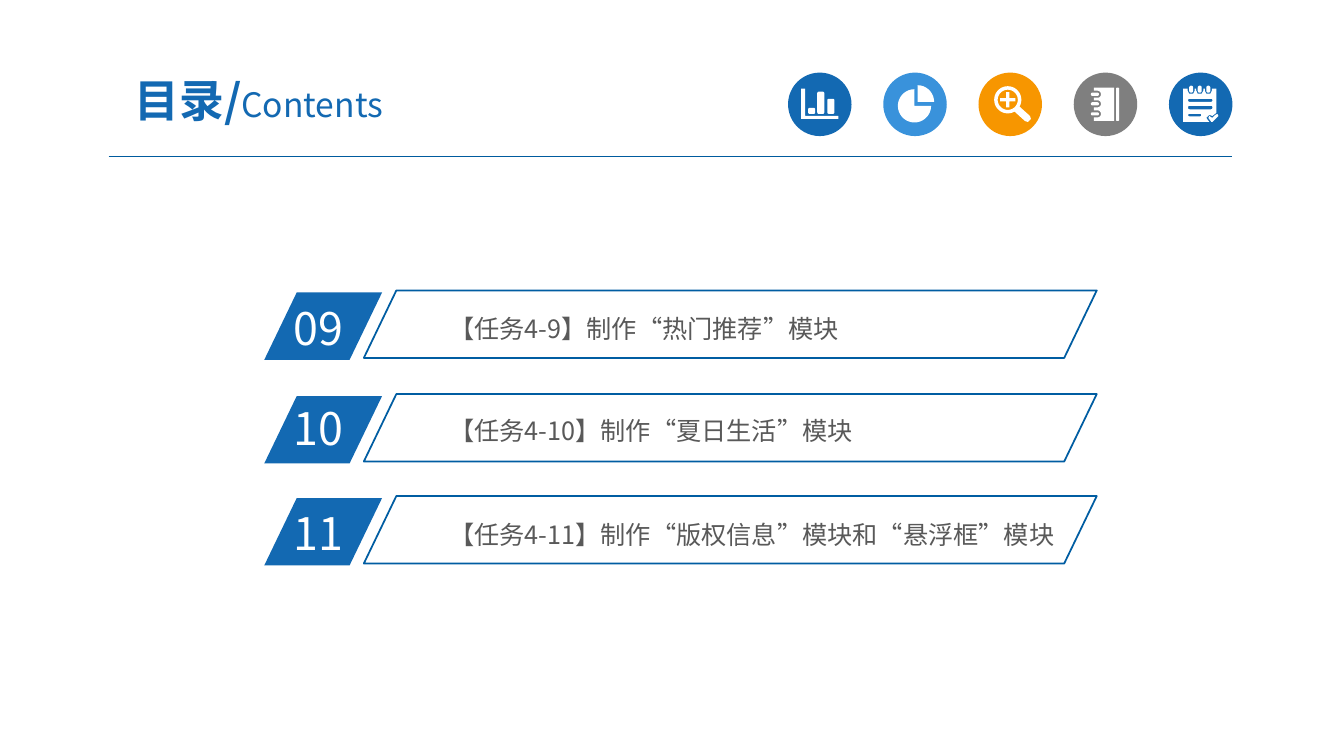
import math
from dataclasses import dataclass

import pptx
import pptx.dml.color
import pptx.enum.shapes
import pptx.enum.text
import pptx.oxml
import pptx.oxml.ns
import pptx.util

Cm = pptx.util.Cm
Shapes = pptx.enum.shapes.MSO_SHAPE
Anchor = pptx.enum.text.MSO_ANCHOR
Point = tuple[float, float]
Contour = list[Point]

FONT = "Noto Sans CJK SC"
BLUE = "1369B2"
WHITE = "FFFFFF"
ICON_UNIT = Cm(0.0254)
SLANT = 0.482
ROW_HEIGHT = 1.7


@dataclass
class Badge:
    colour: str
    contours: list[Contour]


@dataclass
class Task:
    number: str
    title: str
    top: float
    number_top: float
    title_top: float
    title_width: float


def rgb(colour: str) -> pptx.dml.color.RGBColor:
    return pptx.dml.color.RGBColor.from_string(colour)


def arc(x: float, y: float, radius: float, start: int, end: int) -> Contour:
    return [(x + radius * math.cos(math.radians(angle)),
             y + radius * math.sin(math.radians(angle)))
            for angle in range(start, end + 1, 10)]


def round_box(left: float, top: float, width: float, height: float,
              radius: float) -> Contour:
    right, bottom = left + width - radius, top + height - radius
    left, top = left + radius, top + radius
    return (arc(right, bottom, radius, 0, 90) + arc(left, bottom, radius, 90, 180)
            + arc(left, top, radius, 180, 270) + arc(right, top, radius, 270, 360))


def bar_chart() -> list[Contour]:
    axes = [(13, 16), (17, 16), (17, 43), (50, 43), (50, 46), (13, 46)]
    bars = [(20, 35), (29, 19), (39, 26)]
    return [axes] + [round_box(x, y, 7, 41 - y, 1.5) for x, y in bars]


def pie_chart() -> list[Contour]:
    return [[(34, 29)] + arc(34, 29, 16.5, 270, 360),
            [(31, 33)] + arc(31, 33, 16.5, 0, 270)]


def magnifier() -> list[Contour]:
    x, y, arm, half = 29, 27, 7.5, 1.6
    handle = [(51, 43), (52, 46), (49, 49), (46, 48)]
    plus = [(-half, -arm), (half, -arm), (half, -half), (arm, -half),
            (arm, half), (half, half), (half, arm), (-half, arm),
            (-half, half), (-arm, half), (-arm, -half), (-half, -half)]
    return [arc(x, y, 13.5, 60, 390) + handle, arc(x, y, 10, 0, 350),
            [(x + dx, y + dy) for dx, dy in plus]]


def notebook() -> list[Contour]:
    rings = [21.5, 31, 41]
    body = [(40, 48), (40, 15), (20, 15)]
    for y in rings:
        body += [(20, y - 3.5), (23.5, y - 3.5)] + arc(23.5, y, 3.5, -80, 90) + [(20, y + 3.5)]
    return ([body + [(20, 48)], round_box(42, 15, 3, 33, 1)]
            + [round_box(17, y - 1.6, 8, 3.2, 1.6) for y in rings])


def notepad() -> list[Contour]:
    rings = [22, 30.5, 39]
    body = [(14, 49), (14, 16)]
    for x in rings:
        body += [(x - 3.5, 16), (x - 3.5, 18), (x - 2, 21), (x + 2, 21), (x + 3.5, 18), (x + 3.5, 16)]
    body += [(47, 16), (47, 40), (43, 43), (40, 42), (37, 45), (40, 49)]
    tick = [(39, 45), (40, 43), (43, 45), (46, 42), (48, 41), (49, 43), (43, 49), (42, 49)]
    lines = [(26, 24, 3), (33, 24, 3.4), (41, 13, 2.4)]
    return ([body, tick] + [round_box(x - 2, 13, 4, 7, 2) for x in rings]
            + [round_box(19, y, width, height, 1.2) for y, width, height in lines])


def add_preset(page, kind, left: float, top: float, width: float,
               height: float, fill: str = "", line: str = ""):
    shape = page.shapes.add_shape(kind, Cm(left), Cm(top), Cm(width), Cm(height))
    shape.shadow.inherit = False
    if fill:
        shape.fill.solid()
        shape.fill.fore_color.rgb = rgb(fill)
    else:
        shape.fill.background()
    if line:
        shape.line.color.rgb = rgb(line)
        shape.line.width = pptx.util.Pt(1.25)
    else:
        shape.line.fill.background()
    return shape


def style_paragraph(para, size: float, colour: str) -> None:
    para.font.name = FONT
    para.font.size = pptx.util.Pt(size)
    para.font.color.rgb = rgb(colour)
    east_asian = pptx.oxml.parse_xml(
        f'<a:ea {pptx.oxml.ns.nsdecls("a")} typeface="{FONT}"/>')
    para.font._element.append(east_asian)


def add_text(page, text: str, left: float, top: float, width: float,
             height: float, size: float, colour: str,
             inset: tuple[float, float] = (0.25, 0.13)) -> None:
    box = page.shapes.add_textbox(Cm(left), Cm(top), Cm(width), Cm(height))
    frame = box.text_frame
    frame.word_wrap = True
    frame.margin_left = frame.margin_right = Cm(inset[0])
    frame.margin_top = frame.margin_bottom = Cm(inset[1])
    frame.text = text
    style_paragraph(frame.paragraphs[0], size, colour)


def add_title(page) -> None:
    title = page.shapes.title
    title.left, title.top, title.width, title.height = Cm(2.34), Cm(1.6), Cm(8.36), Cm(1.83)
    frame = title.text_frame
    frame.auto_size = pptx.enum.text.MSO_AUTO_SIZE.NONE
    frame.vertical_anchor = Anchor.MIDDLE
    para = frame.paragraphs[0]
    para.alignment = pptx.enum.text.PP_ALIGN.CENTER
    para.space_before = pptx.util.Pt(0)
    style_paragraph(para, 32, BLUE)
    for text, size, bold in [("目录/", 32, True), ("Contents", 24, False)]:
        span = para.add_run()
        span.text = text
        span.font.size = pptx.util.Pt(size)
        span.font.bold = bold


def add_rule(page) -> None:
    rule = page.shapes.add_connector(
        pptx.enum.shapes.MSO_CONNECTOR.STRAIGHT, Cm(2.74), Cm(3.94), Cm(31.06), Cm(3.94))
    rule.line.color.rgb = rgb("005B9E")
    rule.line.width = pptx.util.Pt(0.75)
    rule._element.spPr.append(
        pptx.oxml.parse_xml(f'<a:effectLst {pptx.oxml.ns.nsdecls("a")}/>'))


def add_badge(page, badge: Badge, left: float, top: float) -> None:
    add_preset(page, Shapes.OVAL, left, top, 1.6, 1.6, badge.colour)
    outlines = [[(x * ICON_UNIT, y * ICON_UNIT) for x, y in contour]
                for contour in badge.contours]
    builder = page.shapes.build_freeform(*outlines[0][0])
    for outline in outlines:
        builder.move_to(*outline[0])
        builder.add_line_segments(outline[1:], close=True)
    icon = builder.convert_to_shape(Cm(left), Cm(top))
    icon.shadow.inherit = False
    icon.fill.solid()
    icon.fill.fore_color.rgb = rgb(WHITE)
    icon.line.fill.background()


def add_task(page, task: Task) -> None:
    tab = add_preset(page, Shapes.PARALLELOGRAM, 6.66, task.top, 2.97, ROW_HEIGHT, BLUE)
    add_text(page, task.number, 7.14, task.number_top, 2.84, 1.63, 32, WHITE)
    add_text(page, task.title, 11.14, task.title_top, task.title_width, 0.97,
             18, "595959", (0.18, 0.1))
    frame = add_preset(page, Shapes.PARALLELOGRAM, 9.17, task.top - 0.05, 18.47,
                       ROW_HEIGHT, line="005DA2")
    tab.adjustments[0] = frame.adjustments[0] = SLANT


BADGES = [Badge(BLUE, bar_chart()), Badge("3992DB", pie_chart()),
          Badge("F79600", magnifier()), Badge("7F7F7F", notebook()),
          Badge(BLUE, notepad())]
TASKS = [Task("09", "【任务4-9】制作“热门推荐”模块", 7.37, 7.44, 7.8, 11.61),
         Task("10", "【任务4-10】制作“夏日生活”模块", 9.98, 9.96, 10.36, 12.4),
         Task("11", "【任务4-11】制作“版权信息”模块和“悬浮框”模块", 12.55, 12.62, 12.98, 16.48)]


def main() -> None:
    deck = pptx.Presentation()
    deck.slide_width, deck.slide_height = Cm(33.87), Cm(19.05)
    page = deck.slides.add_slide(deck.slide_layouts.get_by_name("Title Only"))
    add_title(page)
    add_rule(page)
    for index, badge in enumerate(BADGES):
        add_badge(page, badge, 19.86 + 2.4 * index, 1.83)
    for task in TASKS:
        add_task(page, task)
    deck.save("out.pptx")


if __name__ == "__main__":
    main()
